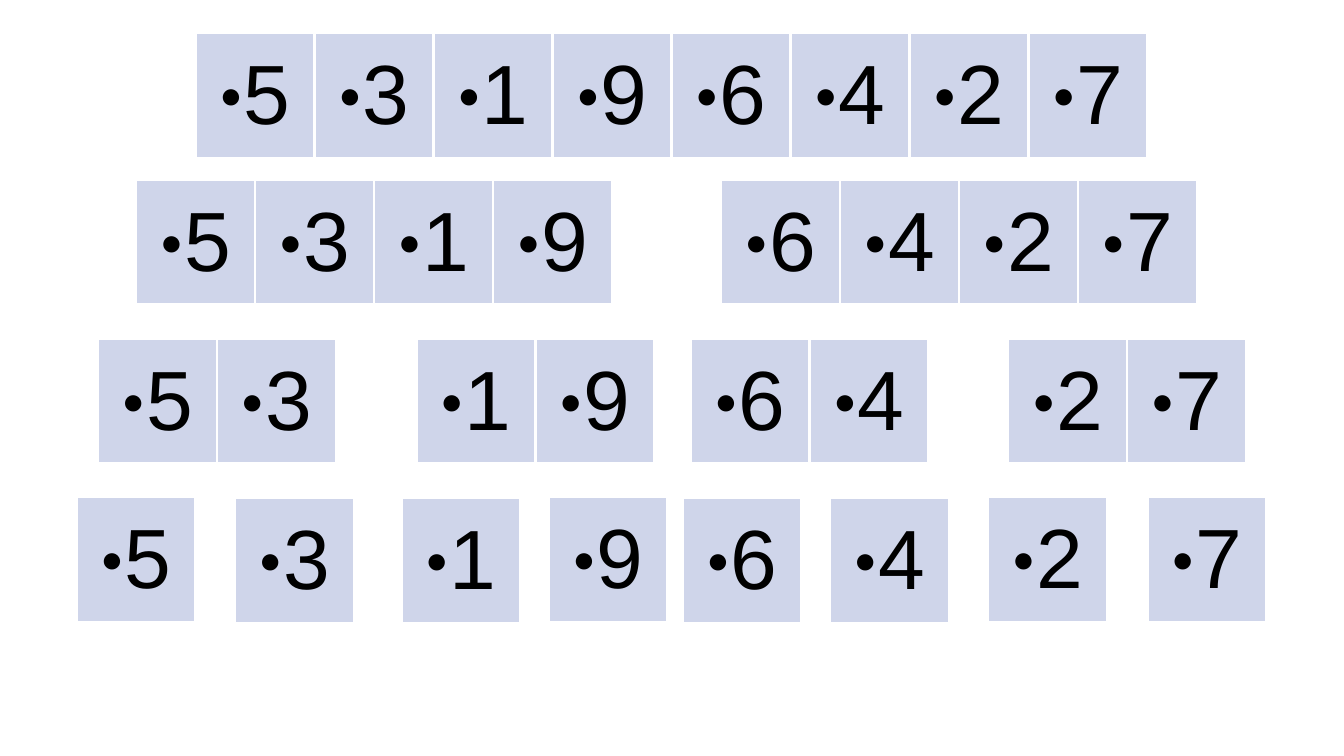
from lxml import etree
from pptx import Presentation
from pptx.dml.color import RGBColor
from pptx.enum.text import MSO_ANCHOR, PP_ALIGN
from pptx.oxml.ns import qn
from pptx.util import Inches, Pt

MIDDLE = MSO_ANCHOR.MIDDLE
CENTER = PP_ALIGN.CENTER
CELL_W, CELL_H = 1.18, 1.24
INDENT = Inches(0.24)
DIGIT_FORMAT = {"name": "Arial", "size": Pt(60), "bold": False}
TABLE_FORMAT = {"first_row": False, "horz_banding": False}
BULLET = [
    ("a:buSzPct", {"val": "45000"}),
    ("a:buFont", {"typeface": "Arial"}),
    ("a:buChar", {"char": "●"}),
]


def rgb(value):
    return RGBColor.from_string(value)


def add_color(parent, tag, value):
    fill = etree.SubElement(parent, qn(tag))
    etree.SubElement(fill, qn("a:srgbClr"), val=value)


prs = Presentation()
prs.slide_width = Inches(13.33)
prs.slide_height = Inches(7.5)
s = prs.slides.add_slide(prs.slide_layouts[6])

lists = [
    (1.94, 0.33, "53196427"),
    (1.35, 1.78, "5319"),
    (7.15, 1.78, "6427"),
    (0.97, 3.36, "53"),
    (4.13, 3.36, "19"),
    (6.85, 3.36, "64"),
    (10, 3.36, "27"),
    (0.76, 4.93, "5"),
    (2.33, 4.94, "3"),
    (3.98, 4.94, "1"),
    (5.44, 4.93, "9"),
    (6.77, 4.94, "6"),
    (8.23, 4.94, "4"),
    (9.8, 4.93, "2"),
    (11.38, 4.93, "7"),
]

for left, top, digits in lists:
    n = len(digits)
    table = s.shapes.add_table(
        1, n, Inches(left), Inches(top), Inches(n * CELL_W), Inches(CELL_H)
    ).table
    for name, value in TABLE_FORMAT.items():
        setattr(table, name, value)

    for column, digit in enumerate(digits):
        table.columns[column].width = Inches(CELL_W)
        cell = table.cell(0, column)
        cell.vertical_anchor = MIDDLE
        cell.fill.solid()
        cell.fill.fore_color.rgb = rgb("CFD5EA")

        tcPr = cell._tc.get_or_add_tcPr()
        for position, side in enumerate("LRTB"):
            border = etree.Element(qn(f"a:ln{side}"), w=str(Pt(1.98)))
            add_color(border, "a:solidFill", "FFFFFF")
            tcPr.insert(position, border)

        p = cell.text_frame.paragraphs[0]
        p.alignment = CENTER
        pPr = p._p.get_or_add_pPr()
        pPr.set("marL", str(INDENT))
        pPr.set("indent", str(-INDENT))
        add_color(pPr, "a:buClr", "000000")
        for tag, attributes in BULLET:
            etree.SubElement(pPr, qn(tag), attributes)

        r = p.add_run()
        r.text = digit
        r.font.color.rgb = rgb("000000")
        for name, value in DIGIT_FORMAT.items():
            setattr(r.font, name, value)

prs.save("out.pptx")
